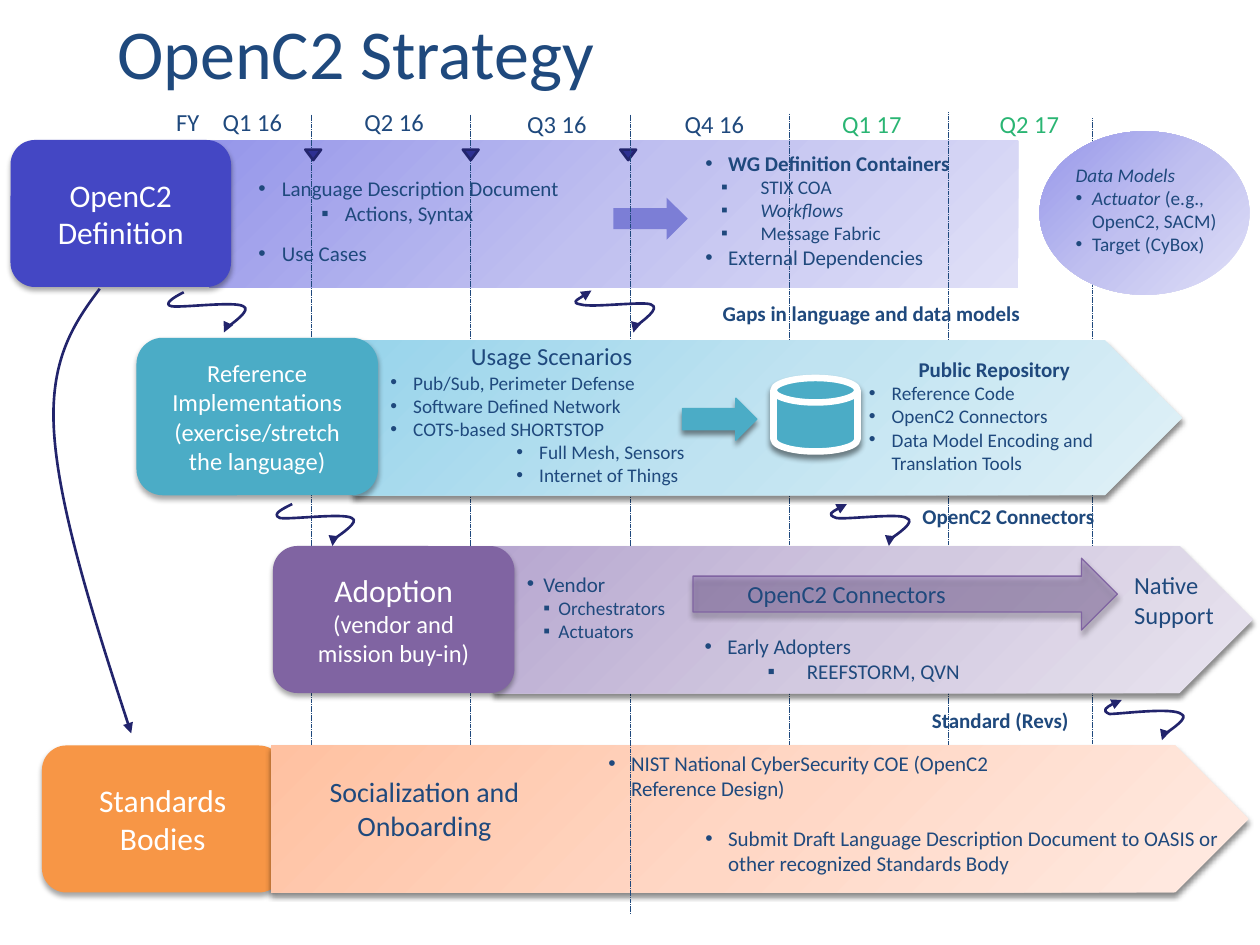
from dataclasses import dataclass

from lxml import etree
from pptx import Presentation
from pptx.dml.color import RGBColor
from pptx.enum.dml import MSO_LINE
from pptx.enum.shapes import MSO_CONNECTOR, MSO_SHAPE
from pptx.enum.text import MSO_ANCHOR, PP_ALIGN
from pptx.oxml.ns import qn
from pptx.util import Pt

RECT, ROUND, PLATE = MSO_SHAPE.RECTANGLE, MSO_SHAPE.ROUNDED_RECTANGLE, MSO_SHAPE.PENTAGON
ARROW, OVAL, DISK = MSO_SHAPE.RIGHT_ARROW, MSO_SHAPE.OVAL, MSO_SHAPE.FLOWCHART_MAGNETIC_DISK
TRIANGLE = MSO_SHAPE.ISOSCELES_TRIANGLE
STRAIGHT, DASH = MSO_CONNECTOR.STRAIGHT, MSO_LINE.SQUARE_DOT
LEFT, CENTER = PP_ALIGN.LEFT, PP_ALIGN.CENTER
TOP, MIDDLE = MSO_ANCHOR.TOP, MSO_ANCHOR.MIDDLE

FONT = "Calibri"
NAVY = RGBColor(0x1F, 0x49, 0x7D)
INK = RGBColor(0x22, 0x24, 0x6C)
MARKER = RGBColor(0x2E, 0x30, 0x92)
INDIGO = RGBColor(0x44, 0x47, 0xC4)
LILAC = RGBColor(0x7C, 0x7E, 0xD6)
TEAL = RGBColor(0x4B, 0xAC, 0xC6)
PURPLE = RGBColor(0x80, 0x64, 0xA2)
ORANGE = RGBColor(0xF7, 0x96, 0x46)
GREEN = RGBColor(0x2A, 0xB5, 0x73)
WHITE = RGBColor(0xFF, 0xFF, 0xFF)
# Fades run from the top left corner outwards
INDIGO_FADE = (RGBColor(0x96, 0x97, 0xEA), RGBColor(0xC0, 0xC0, 0xF0), RGBColor(0xE0, 0xE0, 0xF7))
TEAL_FADE = (RGBColor(0x98, 0xD4, 0xEB), RGBColor(0xC0, 0xE3, 0xF1), RGBColor(0xE0, 0xF1, 0xF7))
PURPLE_FADE = (RGBColor(0xB7, 0xA7, 0xD0), RGBColor(0xD2, 0xC9, 0xE0), RGBColor(0xE9, 0xE4, 0xEF))
ORANGE_FADE = (RGBColor(0xFF, 0xC1, 0xA1), RGBColor(0xFF, 0xD7, 0xC5), RGBColor(0xFF, 0xEB, 0xE3))
# Shadow opacity in percent and distance in points
SOFT, DEEP = (35, 2), (45, 2.4)

# Bezier control points relative to the start; the swirl ends in a short line
SWIRL = [(-6, 3), (-12, 6.5), (-6.5, 8), (-0.5, 9), (29.5, 5), (34, 8),
         (39, 10), (21, 22.5), (21, 22.5), (23, 23.5)]
SWEEP = [(-14.5, 20), (-29.5, 41), (-26, 83.5), (-23, 126), (-2.5, 190), (18, 254)]


@dataclass
class Item:
    """One paragraph; rest is an upright ending after italic text."""
    text: str
    size: float = 12
    color: RGBColor = NAVY
    bold: bool = False
    italic: bool = False
    align: PP_ALIGN = LEFT
    bullet: str = ""
    left: float = 0
    hang: float = 0
    level: int = 0
    rest: str = ""


def dot(text: str, size: float = 12, left: float = 13, hang: float = 13, **more) -> Item:
    return Item(text, size, bullet="•", left=left, hang=hang, **more)


def square(text: str, size: float, left: float, hang: float, **more) -> Item:
    return Item(text, size, bullet="▪", left=left, hang=hang, level=1, **more)


def heading(text: str, size: float, color: RGBColor = NAVY, bold: bool = False) -> Item:
    return Item(text, size, color, bold, align=CENTER)


def child(parent, tag: str, **attributes):
    return etree.SubElement(parent, qn(tag), {k: str(v) for k, v in attributes.items()})


def write(frame, items: list[Item], anchor=MIDDLE) -> None:
    frame.word_wrap = True
    frame.vertical_anchor = anchor
    for index, item in enumerate(items):
        para = frame.add_paragraph() if index else frame.paragraphs[0]
        para.alignment, para.level = item.align, item.level
        if item.bullet:
            properties = para._p.get_or_add_pPr()
            properties.set("marL", str(Pt(item.left)))
            properties.set("indent", str(-Pt(item.hang)))
            child(properties, "a:buFont", typeface="Arial")
            child(properties, "a:buChar", char=item.bullet)
        font = para.font
        font.name, font.size, font.color.rgb = FONT, Pt(item.size), item.color
        font.bold, font.italic = item.bold, item.italic
        para.add_run().text = item.text
        if item.rest:
            span = para.add_run()
            span.text, span.font.italic = item.rest, False


def label(page, x, y, width, height, *items: Item, anchor=MIDDLE) -> None:
    box = page.shapes.add_textbox(Pt(x), Pt(y), Pt(width), Pt(height))
    write(box.text_frame, list(items), anchor)


def block(page, kind, x, y, width, height, fill, *items: Item, line=None, weight=0.75,
          shadow=None, opacity=100):
    shape = page.shapes.add_shape(kind, Pt(x), Pt(y), Pt(width), Pt(height))
    shape.shadow.inherit = False
    properties = shape._element.spPr
    shape.fill.solid()
    solid = properties.find(qn("a:solidFill"))
    if isinstance(fill, RGBColor):
        shape.fill.fore_color.rgb = fill
        if opacity < 100:
            child(solid[0], "a:alpha", val=opacity * 1000)
    else:
        fade = etree.Element(qn("a:gradFill"), rotWithShape="1")
        stops = child(fade, "a:gsLst")
        for place, color in zip((0, 50000, 100000), fill):
            child(child(stops, "a:gs", pos=place), "a:srgbClr", val=color)
        child(child(fade, "a:path", path="circle"), "a:fillToRect", r=100000, b=100000)
        properties.replace(solid, fade)
    if line is None:
        shape.line.fill.background()
    else:
        shape.line.color.rgb, shape.line.width = line, Pt(weight)
    if shadow:
        strength, distance = shadow
        outer = child(properties.find(qn("a:effectLst")), "a:outerShdw", blurRad=Pt(3),
                      dist=Pt(distance), dir=5400000, rotWithShape=0)
        child(child(outer, "a:srgbClr", val="000000"), "a:alpha", val=strength * 1000)
    if items:
        write(shape.text_frame, list(items))
    return shape


def divider(page, x, top, bottom) -> None:
    line = page.shapes.add_connector(STRAIGHT, Pt(x), Pt(top), Pt(x), Pt(bottom))
    line.line.color.rgb, line.line.width, line.line.dash_style = NAVY, Pt(0.25), DASH
    child(line._element.spPr, "a:effectLst")


def curve(page, x, y, offsets, both_ends: bool = False) -> None:
    builder = page.shapes.build_freeform(x, y, scale=Pt(1))
    builder.add_line_segments([(x + dx, y + dy) for dx, dy in offsets], close=False)
    shape = builder.convert_to_shape()
    shape.shadow.inherit = False
    shape.fill.background()
    shape.line.color.rgb, shape.line.width = INK, Pt(1.5)
    # Each full group of three points becomes one Bezier segment
    steps = shape._element.xpath(".//a:lnTo")
    for first in range(0, len(steps) - 2, 3):
        group = steps[first:first + 3]
        bezier = etree.Element(qn("a:cubicBezTo"))
        group[0].addprevious(bezier)
        for step in group:
            bezier.append(step[0])
            step.getparent().remove(step)
    outline = shape._element.spPr.find(qn("a:ln"))
    if both_ends:
        child(outline, "a:headEnd", type="triangle")
    child(outline, "a:tailEnd", type="triangle")


def main() -> None:
    deck = Presentation()
    deck.slide_width, deck.slide_height = Pt(720), Pt(540)
    page = deck.slides.add_slide(deck.slide_layouts[6])
    label(page, 60, 2, 588, 46, Item("OpenC2 Strategy", 40), anchor=TOP)

    # Definition band and timeline
    divider(page, 624, 67.5, 489)
    block(page, RECT, 120, 80.5, 462, 84, INDIGO_FADE)
    block(page, ROUND, 6, 80, 126, 84, INDIGO, heading("OpenC2 Definition", 18, WHITE), shadow=SOFT)
    for x, top in ((178, 65.5), (268.5, 65.5), (451, 65), (542, 64)):
        divider(page, x, top, 484.5)
    label(page, 88.5, 60, 37.5, 19, heading("FY", 14))
    for x, y, quarter, color in ((114, 60, "Q1 16", NAVY), (195, 60, "Q2 16", NAVY),
                                 (288, 61, "Q3 16", NAVY), (378, 61, "Q4 16", NAVY),
                                 (468, 61, "Q1 17", GREEN), (558, 61, "Q2 17", GREEN)):
        label(page, x, y, 60.5, 19, heading(quarter, 14, color))
    label(page, 140.5, 98.5, 234, 32, dot("Language Description Document", 12, 13.5, 13.5),
          square("Actions, Syntax", 12, 49.5, 13.5))
    label(page, 140.5, 134.5, 101.5, 20, dot("Use Cases", 12, 13.5, 13.5))
    block(page, ARROW, 350.5, 113, 42.5, 24, LILAC)
    label(page, 396, 80.5, 186.5, 79, dot("WG Definition Containers", bold=True),
          square("STIX COA", 11, 31.5, 22.5), square("Workflows", 11, 31.5, 22.5, italic=True),
          square("Message Fabric", 11, 31.5, 22.5), dot("External Dependencies"))
    label(page, 390, 168, 216, 22, heading("Gaps in language and data models", 12, bold=True))
    for index in range(3):
        marker = block(page, TRIANGLE, 174.5 + 90 * index, 85.5, 9, 6, MARKER, line=INK, weight=1.5)
        marker.rotation = 180
    block(page, OVAL, 594, 75, 120, 93.5, INDIGO_FADE)
    label(page, 607.5, 84, 118, 71, Item("Data Models", 11, italic=True),
          dot("Actuator", 11, 9.5, 9.5, italic=True, rest=" (e.g., OpenC2, SACM)"),
          dot("Target (CyBox)", 11, 9.5, 9.5))

    # Standards band
    block(page, ROUND, 24, 426, 138, 84, ORANGE, heading("Standards Bodies", 18, WHITE), shadow=SOFT)
    block(page, PLATE, 155, 426, 558.5, 84, ORANGE_FADE, shadow=DEEP)
    label(page, 340.5, 425, 247.5, 36.5,
          dot("NIST National CyberSecurity COE (OpenC2 Reference Design)"))
    label(page, 396, 462, 312.5, 48, dot("Submit Draft Language Description Document to OASIS "
                                         "or other recognized Standards Body", level=1))
    label(page, 525.5, 398, 121.5, 26.5, Item("Standard (Revs)", bold=True))
    divider(page, 360, 65.5, 522)
    label(page, 164, 443.5, 157, 36.5, heading("Socialization and Onboarding", 16))

    # Adoption band
    block(page, PLATE, 282, 312, 434, 84, PURPLE_FADE, shadow=DEEP)
    label(page, 294, 324, 116.5, 45.5, dot("Vendor", 12, 9.5, 9.5),
          square("Orchestrators", 11, 18, 8.5), square("Actuators", 11, 18, 8.5))
    label(page, 395.5, 358.5, 195, 36, dot("Early Adopters"), square("REEFSTORM, QVN", 12, 58.5, 22.5))
    block(page, ARROW, 396, 319, 242.5, 41, PURPLE, line=PURPLE, shadow=DEEP, opacity=39)
    label(page, 420, 327.5, 180.5, 23, Item("OpenC2 Connectors", 14))
    label(page, 641, 330.5, 70, 24.5, Item("Native Support", 14))
    block(page, ROUND, 156, 312, 138, 84, PURPLE, heading("Adoption", 18, WHITE),
          heading("(vendor and mission buy-in)", 14, WHITE), shadow=SOFT)
    label(page, 520, 283.5, 171.5, 23, Item("OpenC2 Connectors", bold=True))

    # Reference implementations band
    block(page, PLATE, 201.5, 194.5, 474, 88.5, TEAL_FADE, shadow=DEEP)
    label(page, 216, 198, 198.5, 77, heading("Usage Scenarios", 14),
          dot("Pub/Sub, Perimeter Defense", 11), dot("Software Defined Network", 11),
          dot("COTS-based SHORTSTOP", 11), dot("Full Mesh, Sensors", 11, 85, level=2),
          dot("Internet of Things", 11, 85, level=2))
    label(page, 489.5, 198, 157.5, 78.5, heading("Public Repository", 12, bold=True),
          dot("Reference Code", 11), dot("OpenC2 Connectors", 11),
          dot("Data Model Encoding and Translation Tools", 11))
    block(page, ARROW, 390, 227.5, 42.5, 24, TEAL, line=TEAL, shadow=DEEP)
    block(page, DISK, 442, 216, 48, 42, TEAL, line=WHITE, weight=3.75, shadow=DEEP)
    block(page, ROUND, 78, 193, 138, 90, TEAL, shadow=SOFT, *[
        heading("Reference Implementations (exercise/stretch the language)", 14, WHITE)])

    # Flow arrows between the bands
    curve(page, 57, 165, SWEEP)
    for x, y, both_ends in ((105, 167, False), (167, 288, False), (338.5, 166.5, True),
                            (484.5, 288, True), (641, 399.5, True)):
        curve(page, x, y, SWIRL, both_ends)
    deck.save("out.pptx")


if __name__ == "__main__":
    main()
